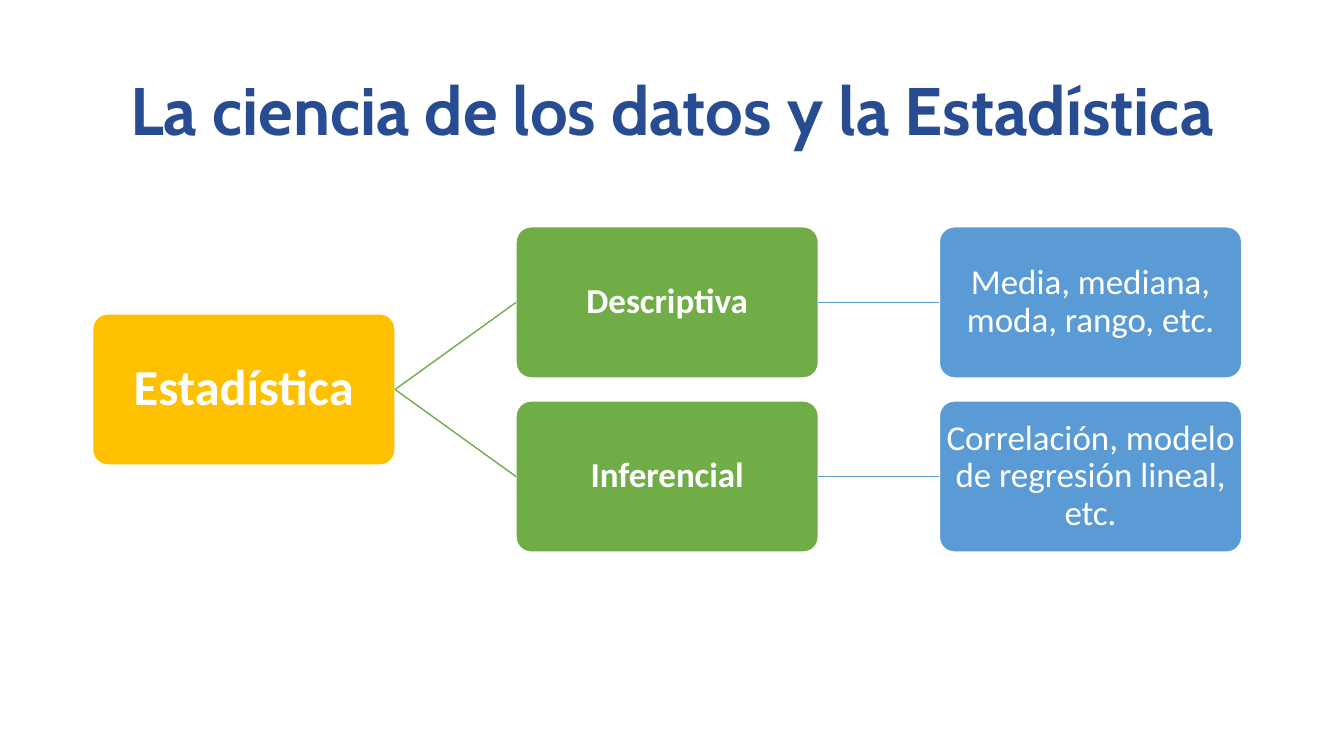
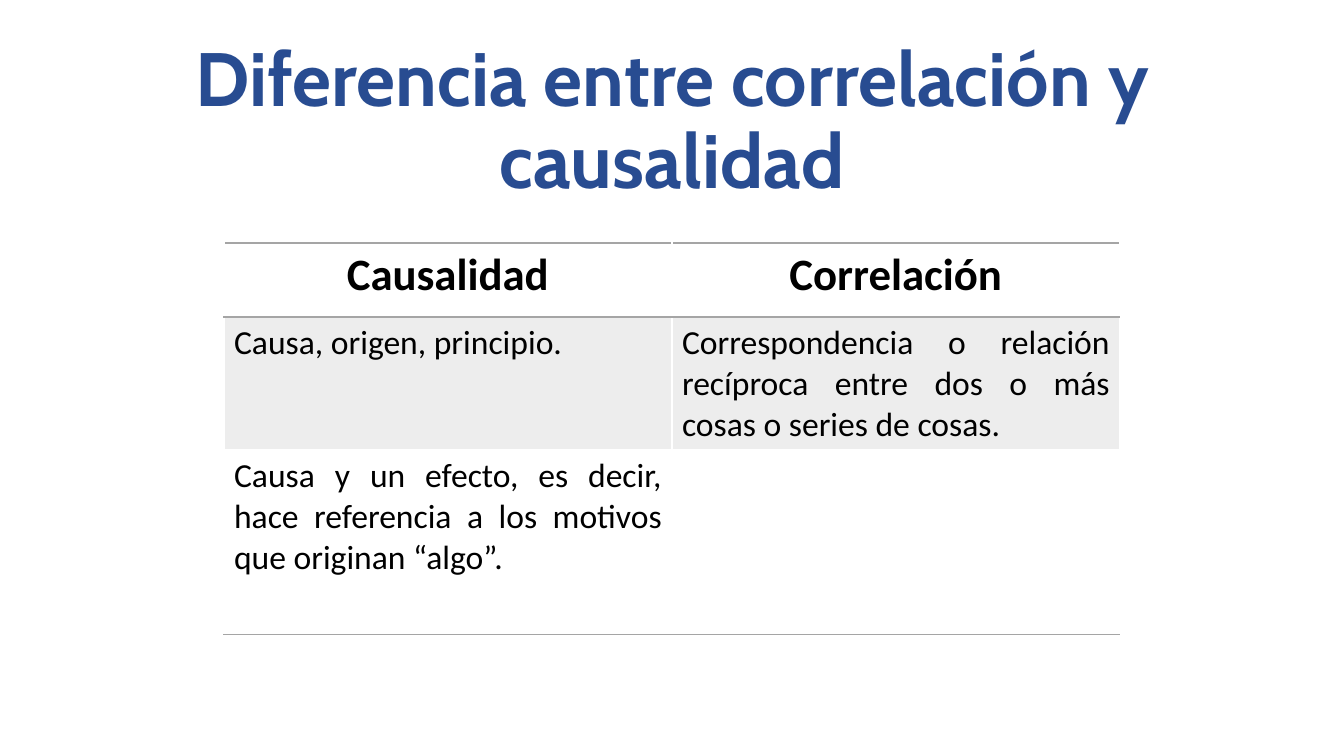
from lxml import etree
from pptx import Presentation
from pptx.dml.color import RGBColor
from pptx.enum.shapes import MSO_CONNECTOR as LINE, MSO_SHAPE as SHAPE
from pptx.enum.text import MSO_ANCHOR as ANCHOR, PP_ALIGN as ALIGN
from pptx.oxml import parse_xml
from pptx.oxml.ns import nsdecls, qn
from pptx.util import Pt

NAVY = RGBColor(0x28, 0x4C, 0x91)
GOLD = RGBColor(0xFF, 0xC0, 0x00)
GREEN = RGBColor(0x70, 0xAD, 0x47)
BLUE = RGBColor(0x5B, 0x9B, 0xD5)
BAND = RGBColor(0xED, 0xED, 0xED)
WHITE = RGBColor(0xFF, 0xFF, 0xFF)
BLACK = RGBColor(0x00, 0x00, 0x00)
RULE = "A5A5A5"


def style(par, size, color, bold, align=ALIGN.CENTER, face="Calibri"):
    par.alignment = align
    for run in par.runs:
        run.font.name = face
        run.font.size = Pt(size)
        run.font.bold = bold
        run.font.color.rgb = color


def add_page(title, top, size):
    page = deck.slides.add_slide(deck.slide_layouts[6])
    box = page.shapes.add_textbox(Pt(66), Pt(top), Pt(828), Pt(104))
    frame = box.text_frame
    frame.word_wrap = True
    frame.vertical_anchor = ANCHOR.MIDDLE
    frame.text = title
    par = frame.paragraphs[0]
    par.line_spacing = 0.9
    style(par, size, NAVY, True, face="Cabin")
    return page


deck = Presentation()
deck.slide_width, deck.slide_height = Pt(960), Pt(540)

page = add_page("La ciencia de los datos y la Estadística", 29, 48)

LEFT, TOP, WIDE, HIGH = 66.2, 162, 216, 108
STEP, DROP = 302.4, 124.4
nodes = [
    ("Estadística", 0, 0.5, GOLD, 36, True),
    ("Descriptiva", 1, 0, GREEN, 25, True),
    ("Media, mediana, moda, rango, etc.", 2, 0, BLUE, 25, False),
    ("Inferencial", 1, 1, GREEN, 25, True),
    ("Correlación, modelo de regresión lineal, etc.", 2, 1, BLUE, 25, False),
]
links = [(0, 1), (1, 2), (0, 3), (3, 4)]

boxes = []
for text, col, row, color, size, bold in nodes:
    box = page.shapes.add_shape(
        SHAPE.ROUNDED_RECTANGLE,
        Pt(LEFT + col * STEP), Pt(TOP + row * DROP), Pt(WIDE), Pt(HIGH))
    box.adjustments[0] = 0.1
    box.shadow.inherit = False
    box.fill.solid()
    box.fill.fore_color.rgb = color
    box.line.color.rgb = WHITE
    box.line.width = Pt(1)
    frame = box.text_frame
    frame.word_wrap = True
    frame.vertical_anchor = ANCHOR.MIDDLE
    frame.margin_left = frame.margin_right = Pt(1)
    frame.margin_top = frame.margin_bottom = Pt(1)
    frame.text = text
    par = frame.paragraphs[0]
    par.line_spacing = 0.9
    style(par, size, WHITE, bold)
    boxes.append(box)

for start, end in links:
    link = page.shapes.add_connector(LINE.STRAIGHT, 0, 0, 0, 0)
    link.begin_connect(boxes[start], 3)
    link.end_connect(boxes[end], 1)
    link.line.color.rgb = nodes[end][3]
    link.line.width = Pt(1)
    etree.SubElement(link._element.spPr, qn("a:effectLst"))

page = add_page("Diferencia entre correlación y causalidad", 36, 54)

rows = [
    ("Causalidad", "Correlación"),
    ("Causa, origen, principio.",
     "Correspondencia o relación recíproca entre dos o más cosas o series de cosas."),
    ("Causa y un efecto, es decir, hace referencia a los motivos que originan “algo”.",
     ""),
]
highs = [53, 95, 132]
edges = [("lnT", "lnB"), ("lnT",), ("lnB",)]

table = page.shapes.add_table(
    3, 2, Pt(160), Pt(173.5), Pt(640), Pt(sum(highs))).table
table.first_row = table.horz_banding = False
for col in table.columns:
    col.width = Pt(320)
for r, texts in enumerate(rows):
    table.rows[r].height = Pt(highs[r])
    for c, text in enumerate(texts):
        cell = table.cell(r, c)
        cell.text = text
        par = cell.text_frame.paragraphs[0]
        if r == 0:
            style(par, 32, BLACK, True)
        else:
            style(par, 24, BLACK, False, ALIGN.JUSTIFY)
        props = cell._tc.get_or_add_tcPr()
        for edge in edges[r]:
            props.append(parse_xml(
                f'<a:{edge} {nsdecls("a")} w="12700"><a:solidFill>'
                f'<a:srgbClr val="{RULE}"/></a:solidFill></a:{edge}>'))
        if r == 1:
            cell.fill.solid()
            cell.fill.fore_color.rgb = BAND
        else:
            cell.fill.background()

deck.save("out.pptx")
